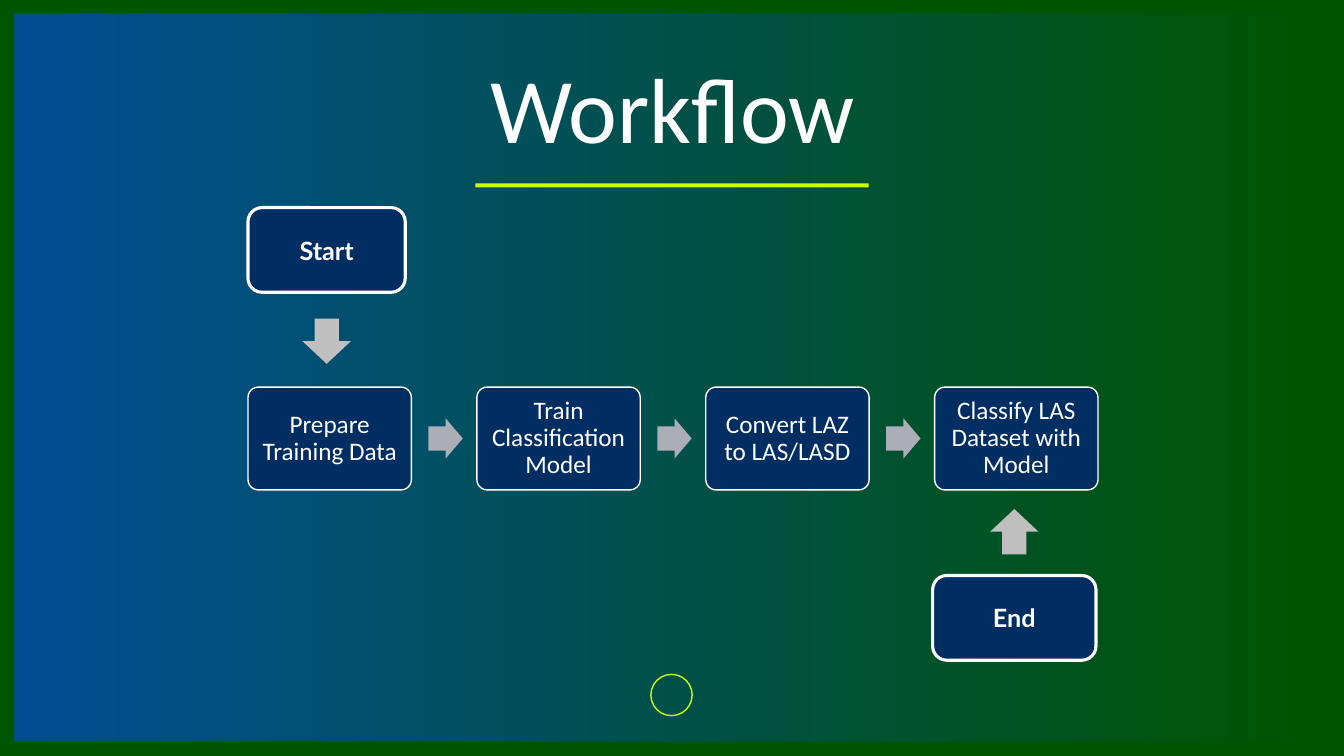
from pptx import Presentation
from pptx.dml.color import RGBColor
from pptx.enum.shapes import MSO_SHAPE
from pptx.enum.text import MSO_ANCHOR, MSO_AUTO_SIZE, PP_ALIGN
from pptx.oxml.ns import qn
from pptx.util import Inches, Pt

RECTANGLE, OVAL = MSO_SHAPE.RECTANGLE, MSO_SHAPE.OVAL
ROUNDED = MSO_SHAPE.ROUNDED_RECTANGLE
RIGHT_ARROW, DOWN_ARROW = MSO_SHAPE.RIGHT_ARROW, MSO_SHAPE.DOWN_ARROW
MIDDLE, CENTER, NO_FIT = MSO_ANCHOR.MIDDLE, PP_ALIGN.CENTER, MSO_AUTO_SIZE.NONE

GREEN = RGBColor(0x00, 0x55, 0x00)
BLUE = RGBColor(0x00, 0x4C, 0xB9)
LIME = RGBColor(0xCB, 0xFF, 0x00)
NAVY = RGBColor(0x00, 0x2E, 0x62)
WHITE = RGBColor(0xFF, 0xFF, 0xFF)
STEP_GRAY = RGBColor(0xAB, 0xAD, 0xB7)
ARROW_GRAY = RGBColor(0xBF, 0xBF, 0xBF)

STEPS = ["Prepare Training Data", "Train Classification Model",
         "Convert LAZ to LAS/LASD", "Classify LAS Dataset with Model"]
STEP_PITCH = 2.27
STEP_WIDTH = 1.62
TITLE_FONT = {"name": "Calibri", "size": Pt(66)}
STEP_FONT = {"name": "Calibri", "size": Pt(18)}
END_FONT = {"name": "Lato", "size": Pt(18), "bold": True}


def add_box(page, kind, box, fill=None, line=None, weight=1):
    shape = page.shapes.add_shape(kind, *map(Inches, box))
    shape.shadow.inherit = False
    if fill is None:
        shape.fill.background()
    else:
        shape.fill.solid()
        shape.fill.fore_color.rgb = fill
    if line is None:
        shape.line.fill.background()
    else:
        shape.line.color.rgb = line
        shape.line.width = Pt(weight)
    return shape


def write(shape, text, font, spacing=1.0, inset=0.1):
    frame = shape.text_frame
    frame.text = text
    frame.word_wrap = True
    frame.auto_size = NO_FIT
    frame.vertical_anchor = MIDDLE
    frame.margin_left = frame.margin_right = Inches(inset)
    frame.margin_top = frame.margin_bottom = Inches(min(inset, 0.07))
    para = frame.paragraphs[0]
    para.alignment = CENTER
    para.line_spacing = spacing
    span = para.runs[0]
    span.font.color.rgb = WHITE
    for name, value in font.items():
        setattr(span.font, name, value)


def add_backdrop(page, box):
    """Green frame, gradient panel, title rule and page-number ring."""
    page.background.fill.solid()
    page.background.fill.fore_color.rgb = GREEN
    left, top, width, height = box
    panel = add_box(page, RECTANGLE, box)
    panel.fill.gradient()
    panel.fill.gradient_angle = 0
    for stop, color in zip(panel.fill.gradient_stops, (BLUE, GREEN)):
        stop.color.rgb = color
    panel.fill.gradient_stops[1].position = 0.99
    for color in panel._element.spPr.iter(qn("a:srgbClr")):
        color.makeelement(qn("a:alpha"))
        alpha = color.makeelement(qn("a:alpha"), {"val": "80000"})
        color.append(alpha)
    middle = left + width / 2
    add_box(page, OVAL, (middle - 0.21, top + 6.55, 0.41, 0.41), line=LIME)
    add_box(page, RECTANGLE, (middle - 1.95, top + 1.68, 3.9, 0.04), LIME)


def add_title(page, box, text):
    title = page.shapes.title
    title.left, title.top, title.width, title.height = map(Inches, box)
    write(title, text, TITLE_FONT, 0.9)
    # Bring the title in front of the backdrop
    page.shapes._spTree.append(title._element)


def add_steps(page, box):
    """Row of step boxes with an arrow in each gap."""
    left, top, width, height = box
    for index, text in enumerate(STEPS):
        x = left + index * STEP_PITCH
        if index:
            arrow = add_box(page, RIGHT_ARROW,
                            (x - 0.48, top + height / 2 - 0.2, 0.34, 0.4), STEP_GRAY)
            arrow.adjustments[0] = 0.6
        step = add_box(page, ROUNDED, (x, top, STEP_WIDTH, height), NAVY, WHITE)
        step.adjustments[0] = 0.1
        write(step, text, STEP_FONT, 0.9, inset=0.07)


def add_terminal(page, box, text, arrow_top, rotation=0):
    """Start or end box with the arrow that ties it to the steps."""
    left, top, width, height = box
    write(add_box(page, ROUNDED, box, NAVY, WHITE, 2.25), text, END_FONT)
    arrow = add_box(page, DOWN_ARROW,
                    (left + width / 2 - 0.24, arrow_top, 0.48, 0.45), ARROW_GRAY)
    arrow.rotation = rotation


def main():
    deck = Presentation()
    deck.slide_width, deck.slide_height = Inches(13.33), Inches(7.5)
    page = deck.slides.add_slide(deck.slide_layouts[5])
    add_backdrop(page, (0.14, 0.14, 13.05, 7.22))
    add_title(page, (0.92, 0.4, 11.5, 1.45), "Workflow")
    add_steps(page, (2.46, 3.84, 8.42, 1.02))
    add_terminal(page, (2.46, 2.06, 1.56, 0.84), "Start", 3.16)
    add_terminal(page, (9.25, 5.71, 1.62, 0.84), "End", 5.05, rotation=180)
    deck.save("out.pptx")


if __name__ == "__main__":
    main()
